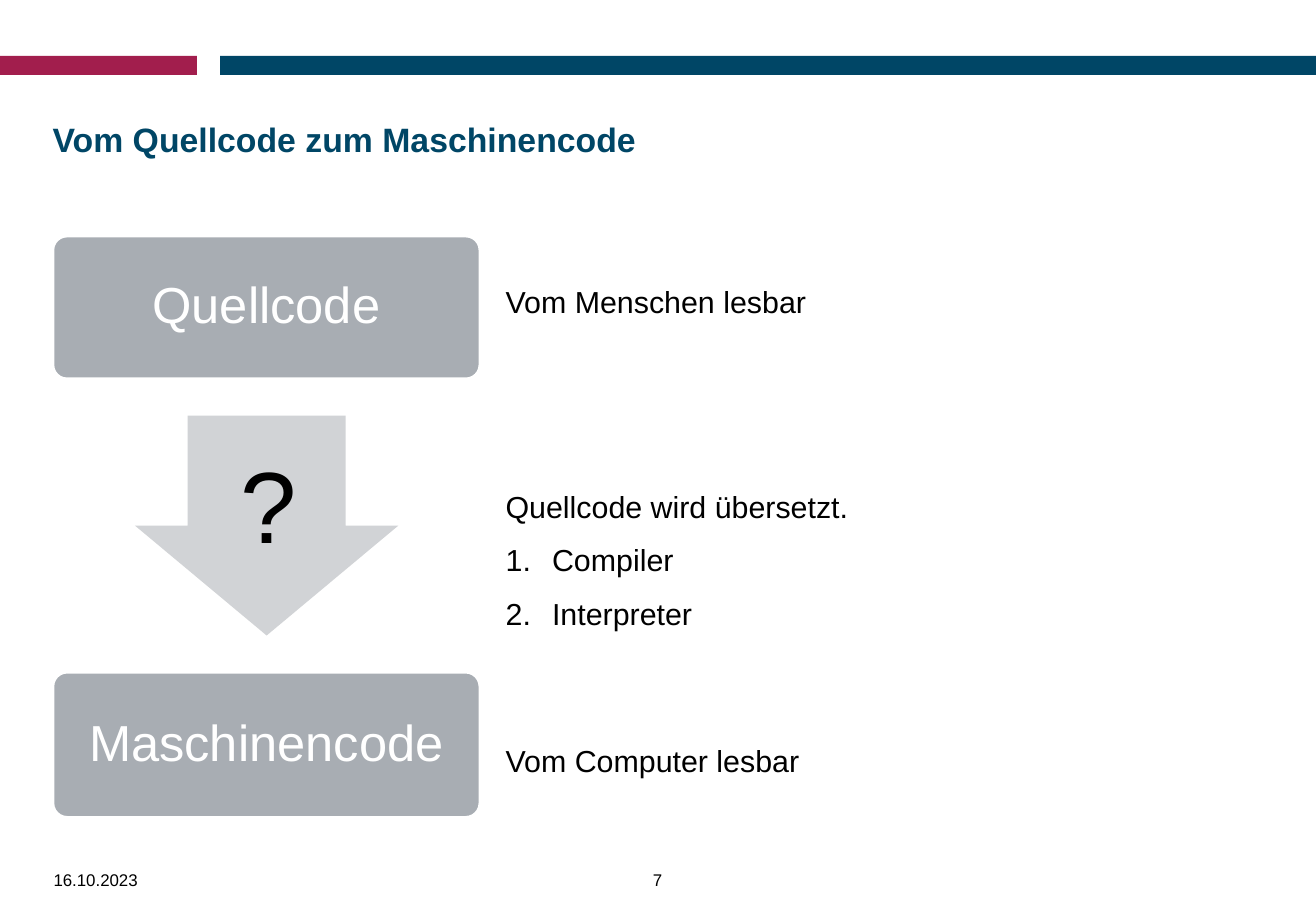
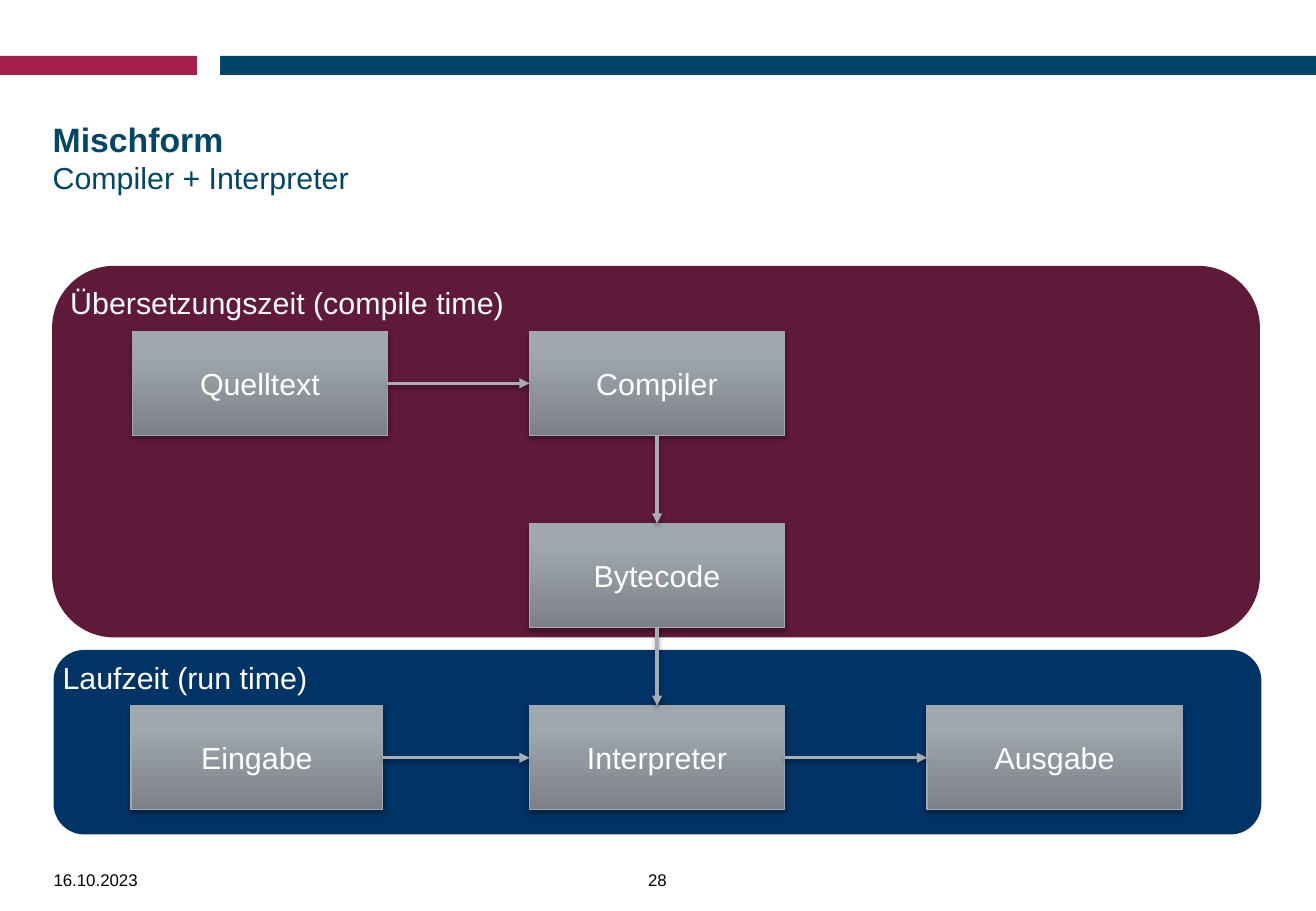
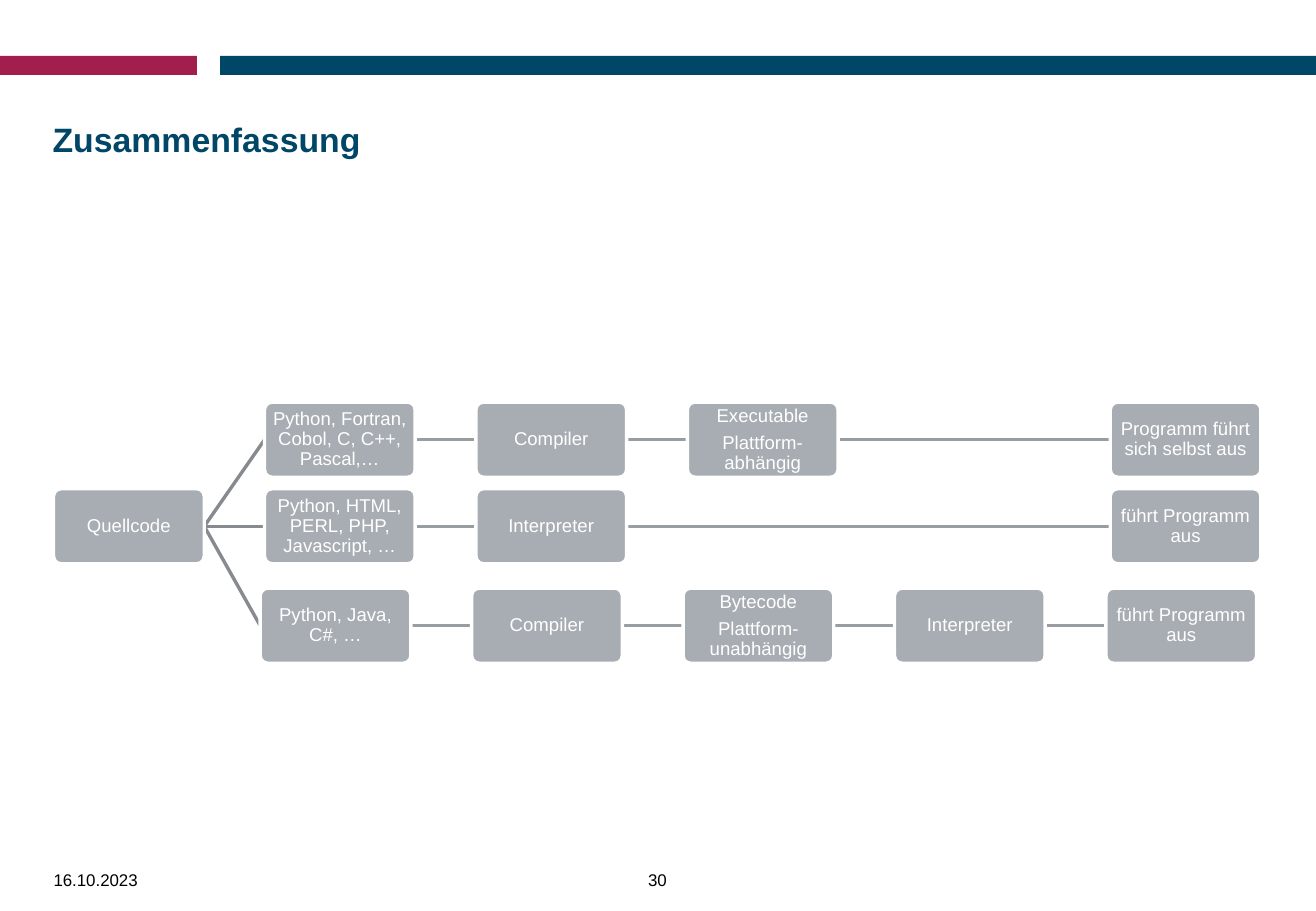
from lxml import etree
from pptx import Presentation
from pptx import util as u
from pptx.dml.color import RGBColor
from pptx.enum import dml, shapes, text
from pptx.oxml import parse_xml
from pptx.oxml.ns import nsdecls, qn

Cm, Pt = u.Cm, u.Pt
SHAPE, ALIGN, ANCHOR = shapes.MSO_SHAPE, text.PP_ALIGN, text.MSO_ANCHOR

# Colours
PETROL = RGBColor(0x00, 0x46, 0x66)
CRIMSON = RGBColor(0xA2, 0x1E, 0x4D)
BORDEAUX = RGBColor(0x5F, 0x19, 0x39)
NAVY = RGBColor(0x00, 0x33, 0x66)
GREY = RGBColor(0xA8, 0xAD, 0xB3)
PALE = RGBColor(0xD1, 0xD3, 0xD6)
EDGE = RGBColor(0xA4, 0xA9, 0xAF)
DARK_STEEL = RGBColor(0x7C, 0x81, 0x87)
LIGHT_STEEL = RGBColor(0xA1, 0xA7, 0xAF)
FORK = RGBColor(0x87, 0x8B, 0x8F)
LINK = RGBColor(0x98, 0x9D, 0xA2)
BLACK = RGBColor(0, 0, 0)
WHITE = RGBColor(0xFF, 0xFF, 0xFF)

# Shared content and geometry (cm)
SLIDE_W, SLIDE_H = 27.51, 19.05
BANDS = [(4.6, SLIDE_W - 4.6, PETROL), (0, 4.12, CRIMSON)]
BAND_TOP, BAND_H = 1.17, 0.4
TITLE_BOX = (1.1, 2.49, 25.3, 1.9)
DATE = "16.10.2023"
TOP, LEFT, BOTTOM, RIGHT = range(4)

# Slide 1: text and place
CODE_BOXES = [("Quellcode", (1.1, 4.93, 8.94, 3)),
              ("Maschinencode", (1.1, 14.05, 8.94, 3.05))]
DOWN_ARROW = (2.82, 8.69, 5.51, 4.6)
REMARKS = [("Vom Menschen lesbar", 18, (10.57, 5.92, 6.4, 1)),
           ("Vom Computer lesbar", 18, (10.57, 15.52, 6.4, 1)),
           ("?", 60, (5.03, 9.25, 1.6, 2.54))]
TRANSLATION = ["Quellcode wird übersetzt.", "Compiler", "Interpreter"]
TRANSLATION_BOX = (10.57, 10.21, 11.2, 2.9)

# Slide 2: panels, boxes (left, top, width) and arrows
PANELS = [("Übersetzungszeit (compile time)", BORDEAUX, (1.09, 5.56, 25.25, 7.77)),
          ("Laufzeit (run time)", NAVY, (1.12, 13.59, 25.25, 3.86))]
STEP_H = 2.17
STEPS = {"Interpreter": (11.07, 14.76, 5.33),
         "Eingabe": (2.74, 14.76, 5.26),
         "Ausgabe": (19.38, 14.76, 5.33),
         "Quelltext": (2.77, 6.93, 5.33),
         "Compiler": (11.07, 6.93, 5.33),
         "Bytecode": (11.07, 10.95, 5.33)}
FLOWS = [("Eingabe", RIGHT, "Interpreter", LEFT),
         ("Interpreter", RIGHT, "Ausgabe", LEFT),
         ("Quelltext", RIGHT, "Compiler", LEFT),
         ("Compiler", BOTTOM, "Bytecode", TOP),
         ("Bytecode", BOTTOM, "Interpreter", TOP)]

# Slide 3: rows of (left, top, {column: paragraphs})
NODE_W, NODE_H, NODE_STEP = 3.15, 1.57, 4.42
ROOT = (["Quellcode"], 1.12, 10.22)
ROWS = [(5.53, 8.41, {0: ["Python, Fortran, Cobol, C, C++, Pascal,…"],
                      1: ["Compiler"],
                      2: ["Executable", "Plattform-abhängig"],
                      4: ["Programm führt sich selbst aus"]}),
        (5.53, 10.22, {0: ["Python, HTML, PERL, PHP, Javascript, …"],
                       1: ["Interpreter"],
                       4: ["führt Programm aus"]}),
        (5.44, 12.3, {0: ["Python, Java, C#, …"],
                      1: ["Compiler"],
                      2: ["Bytecode", "Plattform-unabhängig"],
                      3: ["Interpreter"],
                      4: ["führt Programm aus"]})]


def set_all(obj, fmt):
    for name, value in fmt.items():
        setattr(obj, name, value)


def place(sp, box):
    set_all(sp, dict(zip(("left", "top", "width", "height"), map(Cm, box))))


def add_run(p, content, size, color, bold=False):
    r = p.add_run()
    r.text = content
    set_all(r.font, {"name": "Arial", "size": Pt(size), "bold": bold})
    r.font.color.rgb = color


def write(sp, lines, size, color, align=ALIGN.LEFT, anchor=ANCHOR.TOP,
          inset=0, gap=0, spacing=1.0, wrap=True):
    tf = sp.text_frame
    set_all(tf, {"word_wrap": wrap, "vertical_anchor": anchor,
                 "auto_size": text.MSO_AUTO_SIZE.NONE})
    set_all(tf, {f"margin_{side}": Cm(inset)
                 for side in ("left", "top", "right", "bottom")})
    for i, line in enumerate(lines):
        p = tf.add_paragraph() if i else tf.paragraphs[0]
        set_all(p, {"alignment": align, "line_spacing": spacing,
                    "space_before": Pt(gap if i else 0), "space_after": Pt(0)})
        add_run(p, line, size, color)


def add_text(slide, content, size, box, **fmt):
    sp = slide.shapes.add_textbox(*map(Cm, box))
    write(sp, [content], size, BLACK, **fmt)


def add_box(slide, kind, box, fill=None, line=None, width=0, adj=()):
    sp = slide.shapes.add_shape(kind, *map(Cm, box))
    sp.shadow.inherit = False
    if fill is not None:
        sp.fill.solid()
        sp.fill.fore_color.rgb = fill
    if line is None:
        sp.line.fill.background()
    else:
        sp.line.color.rgb = line
        sp.line.width = Pt(width)
    for i, value in enumerate(adj):
        sp.adjustments[i] = value
    return sp


def add_shadow(sp, dist, alpha):
    """Soft black shadow below the shape, distance in points."""
    pr = sp.element.spPr
    for old in pr.findall(qn("a:effectLst")):
        pr.remove(old)
    pr.append(parse_xml(
        f'<a:effectLst {nsdecls("a")}><a:outerShdw blurRad="{Pt(3.1)}" '
        f'dist="{Pt(dist)}" dir="5400000" rotWithShape="0"><a:srgbClr val="000000">'
        f'<a:alpha val="{alpha * 1000}"/></a:srgbClr></a:outerShdw></a:effectLst>'))


def connect(slide, start, start_site, end, end_site, color):
    cx = slide.shapes.add_connector(shapes.MSO_CONNECTOR.STRAIGHT, 0, 0, 0, 0)
    cx.begin_connect(start, start_site)
    cx.end_connect(end, end_site)
    cx.line.color.rgb = color
    cx.line.width = Pt(2)
    etree.SubElement(cx.element.spPr, qn("a:effectLst"))
    return cx


def add_bands(prs, slide):
    """Draw the two bands and hand them to the slide master."""
    tree = prs.slide_master.shapes.element
    for i, (left, width, color) in enumerate(BANDS):
        sp = add_box(slide, SHAPE.RECTANGLE, (left, BAND_TOP, width, BAND_H), color)
        sp.element.nvSpPr.cNvPr.set("id", str(20 + i))
        tree.insert(2 + i, sp.element)


def new_slide(prs, layout, number, title, subtitle=None):
    slide = prs.slides.add_slide(prs.slide_layouts.get_by_name(layout))
    sp = slide.shapes.title
    write(sp, [], 20, PETROL)
    p = sp.text_frame.paragraphs[0]
    p.alignment = ALIGN.LEFT
    add_run(p, title, 20, PETROL, bold=True)
    if subtitle:
        p.add_line_break()
        add_run(p, subtitle, 18, PETROL)
    add_text(slide, DATE, 10, (1.12, 18.19, 4.72, 0.5))
    add_text(slide, str(number), 10, (12.73, 18.19, 2.03, 0.5), align=ALIGN.CENTER)
    return slide


def add_node(slide, lines, box, size, inset):
    sp = add_box(slide, SHAPE.ROUNDED_RECTANGLE, box, GREY, WHITE, 2, [0.1])
    write(sp, lines, size, WHITE, ALIGN.CENTER, ANCHOR.MIDDLE, inset, 4, 0.9)
    return sp


def build_translation(slide):
    for label, box in CODE_BOXES:
        add_node(slide, [label], box, 30, 0.3)
    add_box(slide, SHAPE.DOWN_ARROW, DOWN_ARROW, PALE, adj=[0.6, 0.5])
    for content, size, box in REMARKS:
        add_text(slide, content, size, box, wrap=False)

    # Lead sentence and numbered list
    body = slide.placeholders[1]
    place(body, TRANSLATION_BOX)
    write(body, TRANSLATION, 18, BLACK, gap=10)
    for i, p in enumerate(body.text_frame.paragraphs):
        pr = p._p.get_or_add_pPr()
        indent = Cm(0.97) if i else 0
        pr.set("marL", str(indent))
        pr.set("indent", str(-indent))
        if i:
            etree.SubElement(pr, qn("a:buFont"), typeface="+mj-lt")
            etree.SubElement(pr, qn("a:buAutoNum"), type="arabicPeriod")
        else:
            etree.SubElement(pr, qn("a:buNone"))


def build_mixed_form(slide):
    for label, color, box in PANELS:
        sp = add_box(slide, SHAPE.ROUNDED_RECTANGLE, box, color)
        write(sp, [label], 18, WHITE)

    # Steps with a vertical gradient
    steps = {}
    for label, box in STEPS.items():
        sp = add_box(slide, SHAPE.FLOWCHART_PROCESS, (*box, STEP_H),
                     line=EDGE, width=0.75)
        sp.fill.gradient()
        sp.fill.gradient_angle = 90
        stops = zip(sp.fill.gradient_stops, (0, 0.8), (DARK_STEEL, LIGHT_STEEL))
        for stop, position, color in stops:
            stop.position = position
            stop.color.rgb = color
        add_shadow(sp, 1.8, 35)
        write(sp, [label], 18, WHITE, ALIGN.CENTER, ANCHOR.MIDDLE, 0.13)
        steps[label] = sp

    # Arrows
    for start, start_site, end, end_site in FLOWS:
        cx = connect(slide, steps[start], start_site, steps[end], end_site, GREY)
        cx.line.dash_style = dml.MSO_LINE.SOLID
        etree.SubElement(cx.line._get_or_add_ln(), qn("a:tailEnd"), type="triangle")
        add_shadow(cx, 1.6, 38)


def build_summary(slide):
    lines, left, top = ROOT
    root = add_node(slide, lines, (left, top, NODE_W, NODE_H), 11, 0.03)
    for left, top, nodes in ROWS:
        before, color = root, FORK
        for column, lines in nodes.items():
            box = (left + column * NODE_STEP, top, NODE_W, NODE_H)
            node = add_node(slide, lines, box, 11, 0.03)
            cx = connect(slide, before, RIGHT, node, LEFT, color)
            slide.shapes.element.insert(2, cx.element)  # behind the boxes
            before, color = node, LINK


def main():
    prs = Presentation()
    prs.slide_width, prs.slide_height = Cm(SLIDE_W), Cm(SLIDE_H)
    place(prs.slide_master.placeholders[0], TITLE_BOX)

    slide = new_slide(prs, "Title and Content", 7, "Vom Quellcode zum Maschinencode")
    add_bands(prs, slide)
    build_translation(slide)
    build_mixed_form(new_slide(prs, "Title Only", 28, "Mischform",
                               "Compiler + Interpreter"))
    build_summary(new_slide(prs, "Title Only", 30, "Zusammenfassung"))
    prs.save("out.pptx")


if __name__ == "__main__":
    main()
